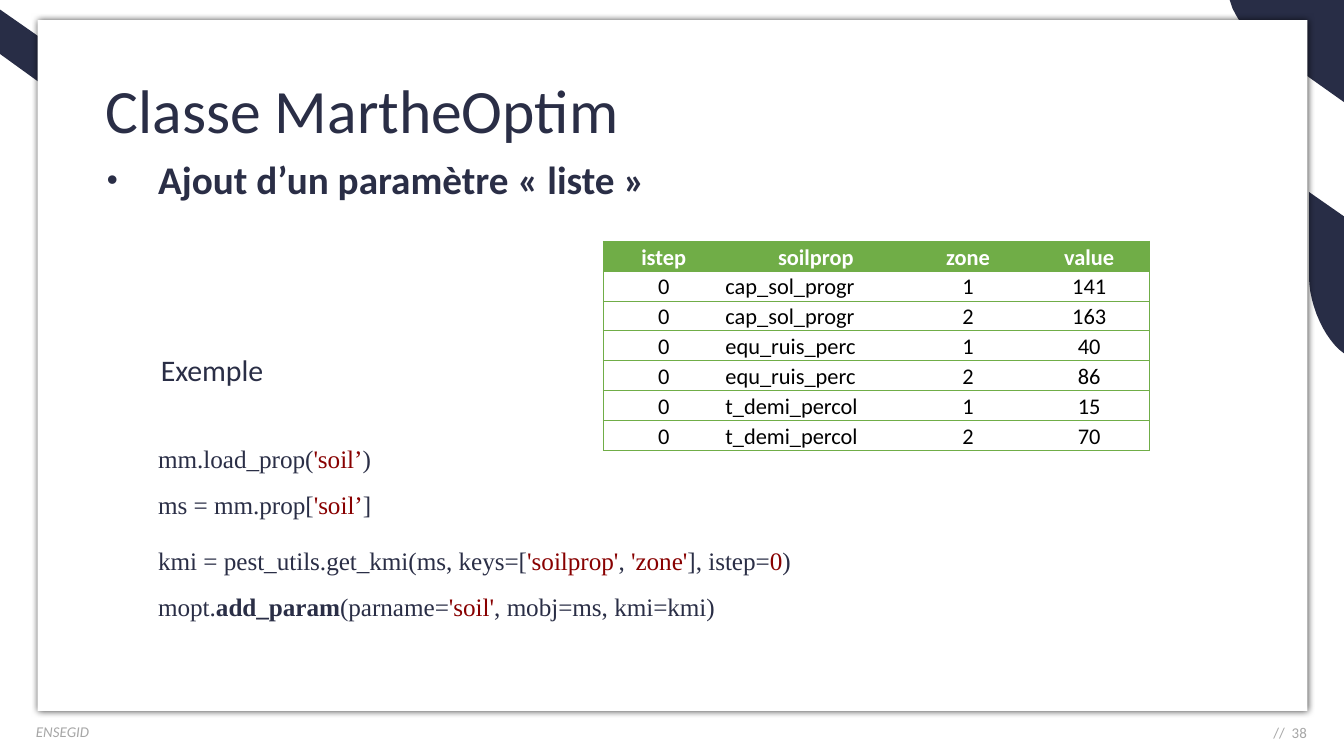
from lxml import etree
from pptx import Presentation
from pptx.dml.color import RGBColor
from pptx.enum.shapes import MSO_SHAPE
from pptx.enum.text import MSO_ANCHOR as Anchor, PP_ALIGN as Align
from pptx.oxml import parse_xml
from pptx.oxml.ns import nsdecls, qn
from pptx.util import Cm, Pt

NAVY = RGBColor(0x28, 0x2D, 0x46)
INK = RGBColor(0x2A, 0x2E, 0x46)
GREY = RGBColor(0xA6, 0xA6, 0xA6)
DARK_RED = RGBColor(0x88, 0x00, 0x00)
GREEN = RGBColor(0x70, 0xAD, 0x47)
WHITE = RGBColor(0xFF, 0xFF, 0xFF)
BLACK = RGBColor(0x00, 0x00, 0x00)


def add_run(paragraph, text, size, color, font="Calibri", bold=False, italic=False):
    run = paragraph.add_run()
    run.text = text
    run.font.name = font
    run.font.size = Pt(size)
    run.font.color.rgb = color
    run.font.bold = bold
    run.font.italic = italic


def add_frame(left, top, width, height, anchor=Anchor.TOP, wrap=True):
    """Add a text box, in centimetres, and return its text frame."""
    frame = slide.shapes.add_textbox(Cm(left), Cm(top), Cm(width), Cm(height)).text_frame
    frame.word_wrap = wrap
    frame.vertical_anchor = anchor
    return frame


prs = Presentation()
prs.slide_width, prs.slide_height = Cm(25.4), Cm(14.29)
slide = prs.slides.add_slide(prs.slide_layouts[6])

# Corner bands: corners before the curve, the curve's three control points, corners after it
bands = [
    ([(23.24, 0), (25.4, 0), (25.4, 1.93), (23.75, 0.76)],
     [(23.57, 0.64), (23.42, 0.41), (23.29, 0.15)], []),
    ([(24.74, 3.63), (25.4, 4.09), (25.4, 6.68)],
     [(25.04, 6.43), (24.74, 5.77), (24.74, 5.23)], []),
    ([(1.3, 1.96), (0, 1.02), (0, 0.18), (1.09, 0.94)],
     [(1.19, 1.04), (1.3, 1.24), (1.3, 1.42)], []),
]
CURVE_STEPS = 12
for corners, controls, rest in bands:
    outline = list(corners)
    bezier = [corners[-1], *controls]
    for step in range(1, CURVE_STEPS + 1):
        t = step / CURVE_STEPS
        weights = ((1 - t) ** 3, 3 * t * (1 - t) ** 2, 3 * t ** 2 * (1 - t), t ** 3)
        outline.append(tuple(sum(w * point[axis] for w, point in zip(weights, bezier))
                             for axis in (0, 1)))
    points = [(Cm(x), Cm(y)) for x, y in outline + rest]
    builder = slide.shapes.build_freeform(*points[0])
    builder.add_line_segments(points[1:], close=True)
    band = builder.convert_to_shape()
    band.shadow.inherit = False
    band.fill.solid()
    band.fill.fore_color.rgb = NAVY
    band.line.fill.background()

# White page with a soft shadow
page = slide.shapes.add_shape(MSO_SHAPE.RECTANGLE, Cm(0.71), Cm(0.38), Cm(24), Cm(13.06))
page.fill.solid()
page.fill.fore_color.rgb = WHITE
page.line.fill.background()
page.shadow.inherit = False
page._element.spPr.find(qn("a:effectLst")).append(parse_xml(
    f'<a:outerShdw {nsdecls("a")} blurRad="{Pt(4)}" dist="{Pt(1)}" dir="2700000" '
    'algn="tl" rotWithShape="0"><a:srgbClr val="000000"><a:alpha val="75000"/>'
    '</a:srgbClr></a:outerShdw>'))

# Footer
page_number = add_frame(20.5, 13.59, 4.45, 0.53, Anchor.MIDDLE).paragraphs[0]
page_number.alignment = Align.RIGHT
add_run(page_number, "//  38", 8, GREY)
school = add_frame(0.43, 13.54, 8.84, 0.61).paragraphs[0]
add_run(school, "ENSEGID", 8, GREY, italic=True)

# Title and heading
title = add_frame(1.75, 0.76, 21.89, 2.77, Anchor.MIDDLE).paragraphs[0]
title.line_spacing = 0.9
add_run(title, "Classe MartheOptim", 33, INK)

heading = add_frame(1.75, 2.92, 15.9, 1.14).paragraphs[0]
heading.line_spacing = 0.9
heading_props = heading._p.get_or_add_pPr()
heading_props.set("marL", str(Cm(0.99)))
heading_props.set("indent", str(Cm(-0.97)))
etree.SubElement(heading_props, qn("a:buSzPct")).set("val", "80000")
etree.SubElement(heading_props, qn("a:buFont")).set("typeface", "Arial")
etree.SubElement(heading_props, qn("a:buChar")).set("char", "•")
add_run(heading, "Ajout d’un paramètre « liste »", 21, INK, bold=True)

# Code: paragraphs of lines, each line made of (text, colour, bold) pieces
code = [
    [
        [("mm.load_prop(", INK, False), ("'soil’", DARK_RED, False), (")", INK, False)],
        [("ms = mm.prop[", INK, False), ("'soil’", DARK_RED, False), ("]", INK, False)],
    ],
    [
        [("kmi = pest_utils.get_kmi(ms, keys=[", INK, False), ("'soilprop'", DARK_RED, False),
         (", ", INK, False), ("'zone'", DARK_RED, False), ("], istep=", INK, False),
         ("0", DARK_RED, False), (")", INK, False)],
        [("mopt.", INK, False), ("add_param", INK, True), ("(parname=", INK, False),
         ("'soil'", DARK_RED, False), (", mobj=ms, kmi=kmi)", INK, False)],
    ],
]
code_frame = add_frame(2.74, 7.98, 17.32, 3.84)
for block_index, block in enumerate(code):
    paragraph = code_frame.add_paragraph() if block_index else code_frame.paragraphs[0]
    paragraph.line_spacing = 1.5
    if block_index:
        paragraph.space_before = Pt(6)
    for line_index, line in enumerate(block):
        if line_index:
            paragraph.add_line_break()
        for text, color, bold in line:
            add_run(paragraph, text, 13.5, color, "Times New Roman", bold)

# Soil parameter table
soil_rows = [("istep", "soilprop", "zone", "value")]
for prop, values in [("cap_sol_progr", (141, 163)), ("equ_ruis_perc", (40, 86)),
                     ("t_demi_percol", (15, 70))]:
    for zone, value in enumerate(values, start=1):
        soil_rows.append(("0", prop, str(zone), str(value)))

column_widths = [2.29, 3.46, 2.29, 2.29]
row_height = 0.565
soil_table = slide.shapes.add_table(
    len(soil_rows), len(column_widths), Cm(11.4), Cm(4.56),
    Cm(sum(column_widths)), Cm(row_height * len(soil_rows))).table
for column, width in zip(soil_table.columns, column_widths):
    column.width = Cm(width)
for r, row in enumerate(soil_rows):
    soil_table.rows[r].height = Cm(row_height)
    for c, text in enumerate(row):
        cell = soil_table.cell(r, c)
        cell.margin_left = cell.margin_right = cell.margin_top = Cm(0.02)
        cell.margin_bottom = 0
        cell.vertical_anchor = Anchor.BOTTOM
        cell_props = cell._tc.get_or_add_tcPr()
        sides = {"lnL": c == 0, "lnR": c == len(row) - 1, "lnT": True, "lnB": True}
        for side, drawn in sides.items():
            paint = (f'<a:solidFill><a:srgbClr val="{GREEN}"/></a:solidFill>'
                     if drawn else "<a:noFill/>")
            cell_props.append(parse_xml(
                f'<a:{side} {nsdecls("a")} w="{Pt(0.5)}">{paint}</a:{side}>'))
        if r == 0:
            cell.fill.solid()
            cell.fill.fore_color.rgb = GREEN
        else:
            cell.fill.background()
        paragraph = cell.text_frame.paragraphs[0]
        paragraph.alignment = Align.LEFT if r and c == 1 else Align.CENTER
        add_run(paragraph, text, 12, BLACK if r else WHITE, bold=r == 0)

example = add_frame(2.79, 6.53, 2.46, 0.94, wrap=False).paragraphs[0]
add_run(example, "Exemple", 16, INK)

prs.save("out.pptx")
